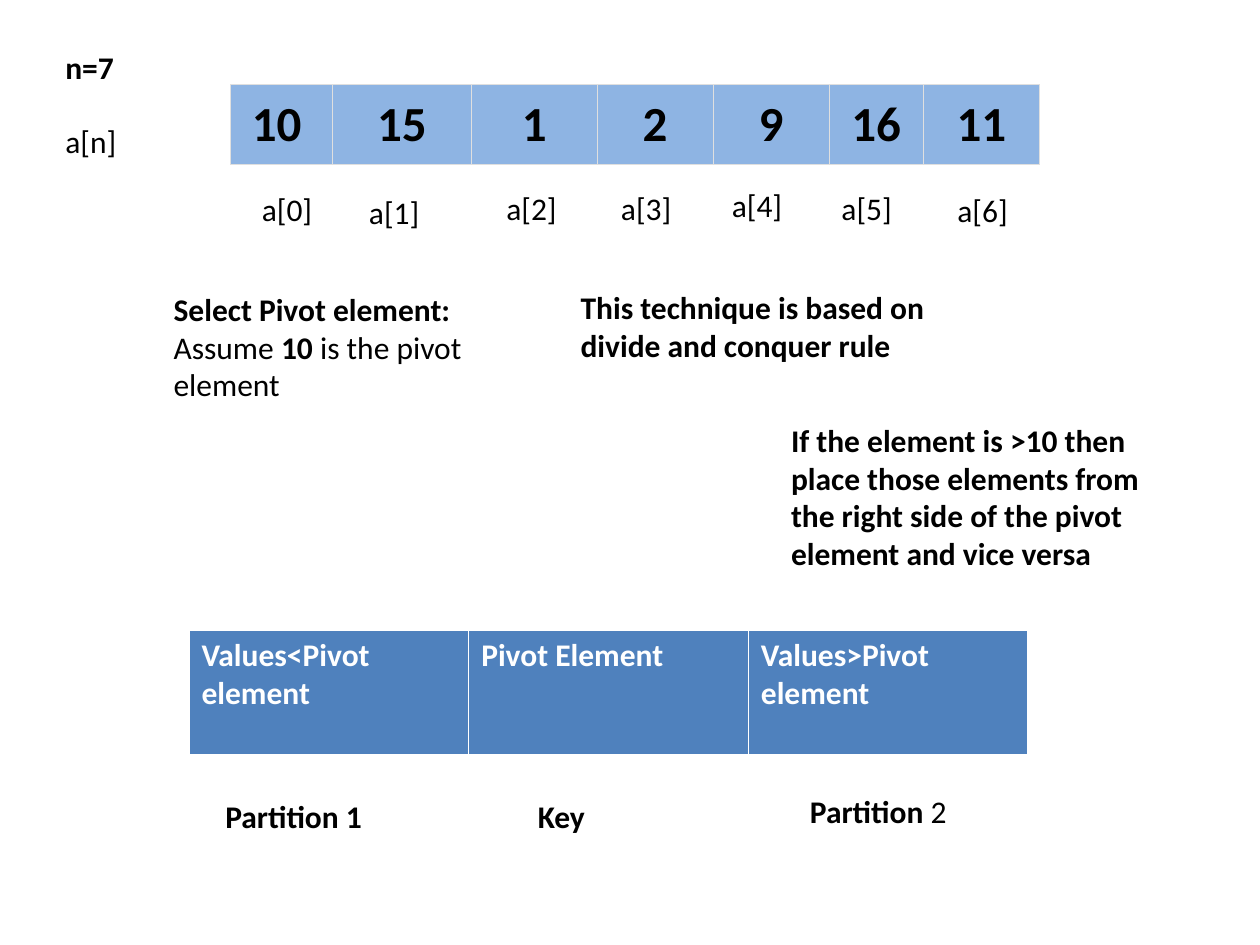
"""Build the quicksort pivot and partition slide."""
import pptx
import pptx.dml.color
import pptx.enum.text
import pptx.oxml
import pptx.oxml.ns
import pptx.util
from dataclasses import dataclass

Inches = pptx.util.Inches


@dataclass(frozen=True)
class Theme:
    font: str = "Calibri"
    body: int = 18
    value: int = 28
    ink: str = "000000"
    white: str = "FFFFFF"
    array_fill: str = "8EB4E3"
    array_line: str = "DFDFDF"
    partition_fill: str = "4F81BD"


THEME = Theme()

ARRAY = [("10", 0.81), ("15", 1.1), ("1", 1), ("2", 0.92), ("9", 0.92), ("16", 0.75), ("11", 0.92)]
PARTITIONS = [("Values<Pivot element", 2.22), ("Pivot Element", 2.22), ("Values>Pivot element", 2.22)]

INDEX_PLACES = [(1.98, 1.46), (2.83, 1.48), (3.92, 1.45), (4.83, 1.45), (5.71, 1.43), (6.58, 1.45), (7.5, 1.47)]

LABELS = [
    ((0.42, 0.92, 0.83, 0.42), [("a[n]", False)]),
    ((0.42, 0.33, 0.67, 0.4), [("n=7", True)]),
    ((1.28, 2.25, 3, 1.01), [("Select Pivot element: ", True), ("Assume ", False),
                             ("10", True), (" is the pivot element", False)]),
    ((4.51, 2.24, 3, 0.71), [("This technique is based on divide and conquer rule", True)]),
    ((6.18, 3.29, 3, 1.31), [("If the element is >10 then place those elements from "
                              "the right side of the pivot element and vice versa", True)]),
    ((1.69, 6.28, 1.83, 0.4), [("Partition 1", True)]),
    ((6.33, 6.24, 1.83, 0.4), [("Partition", True), (" 2", False)]),
    ((4.17, 6.28, 1.83, 0.4), [("Key", True)]),
]


def rgb(value):
    return pptx.dml.color.RGBColor.from_string(value)


def style_font(font, size, color, bold=None):
    font.name = THEME.font
    font.size = pptx.util.Pt(size)
    font.color.rgb = rgb(color)
    font.bold = bold


def add_label(slide, place, runs):
    text_box = slide.shapes.add_textbox(*map(Inches, place))
    frame = text_box.text_frame
    frame.word_wrap = True
    paragraph = frame.paragraphs[0]
    style_font(paragraph.font, THEME.body, THEME.ink)
    for text, bold in runs:
        run = paragraph.add_run()
        run.text = text
        run.font.bold = bold


def set_borders(cell, color, widths):
    properties = cell._tc.get_or_add_tcPr()
    for side, width in zip("LRTB", widths):
        properties.append(pptx.oxml.parse_xml(
            f'<a:ln{side} {pptx.oxml.ns.nsdecls("a")} w="{pptx.util.Pt(width)}">'
            f'<a:solidFill><a:srgbClr val="{color}"/></a:solidFill></a:ln{side}>'))


def add_row_table(slide, left, top, height, columns, fill, line, widths, size, color):
    total = sum(width for _, width in columns)
    frame = slide.shapes.add_table(1, len(columns), *map(Inches, (left, top, total, height)))
    table = frame.table
    table.horz_banding = False
    for index, (text, width) in enumerate(columns):
        table.columns[index].width = Inches(width)
        cell = table.cell(0, index)
        set_borders(cell, line, widths)
        cell.fill.solid()
        cell.fill.fore_color.rgb = rgb(fill)
        cell.text = text
        style_font(cell.text_frame.paragraphs[0].font, size, color, True)
    return table


def center_values(table):
    for index, cell in enumerate(table.iter_cells()):
        cell.vertical_anchor = pptx.enum.text.MSO_ANCHOR.MIDDLE
        cell.margin_top = cell.margin_bottom = cell.margin_right = Inches(0.08)
        cell.margin_left = Inches(0.08 if index else 0)
        cell.text_frame.paragraphs[0].alignment = pptx.enum.text.PP_ALIGN.CENTER


def main():
    presentation = pptx.Presentation()
    presentation.slide_width, presentation.slide_height = Inches(10), Inches(7.5)
    slide = presentation.slides.add_slide(presentation.slide_layouts[6])
    array_table = add_row_table(slide, 1.83, 0.67, 0.63, ARRAY, THEME.array_fill,
                                THEME.array_line, (0.18,) * 4, THEME.value, THEME.ink)
    center_values(array_table)
    for index, (left, top) in enumerate(INDEX_PLACES):
        add_label(slide, (left, top, 0.67, 0.4), [(f"a[{index}]", False)])
    for place, runs in LABELS:
        add_label(slide, place, runs)
    add_row_table(slide, 1.5, 5, 1, PARTITIONS, THEME.partition_fill,
                  THEME.white, (1, 1, 1, 3), THEME.body, THEME.white)
    presentation.save("out.pptx")


if __name__ == "__main__":
    main()
